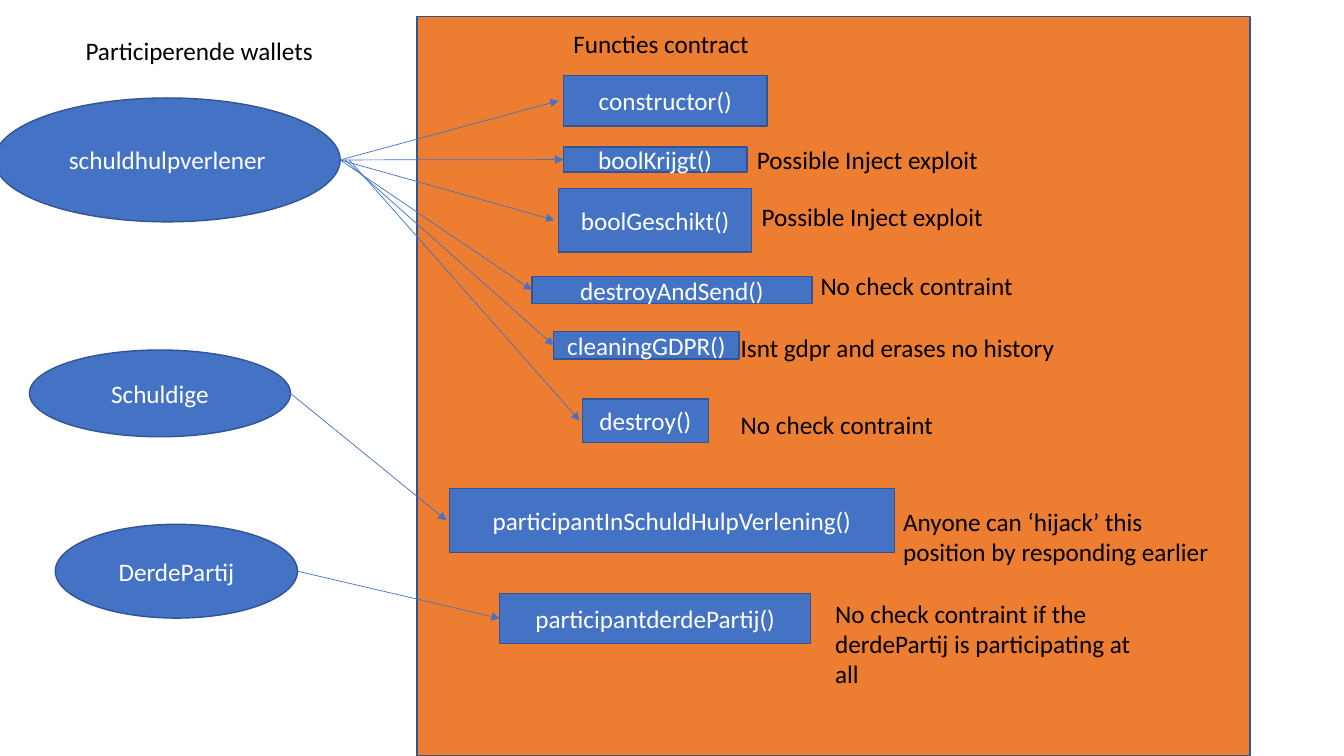
from lxml import etree
from pptx import Presentation
from pptx.dml.color import RGBColor
from pptx.enum import shapes, text as tx
from pptx.oxml import ns
from pptx.util import Pt

BLUE, NAVY, ORANGE = "4472C4", "325491", "ED7D31"
WHITE, BLACK = "FFFFFF", "000000"

deck = Presentation()
deck.slide_width, deck.slide_height = Pt(960), Pt(540)
slide = deck.slides.add_slide(deck.slide_layouts[6])


def write(holder, wording, color=BLACK, align=tx.PP_ALIGN.LEFT,
          anchor=tx.MSO_ANCHOR.TOP, wrap=True, size=18):
    """Put formatted text into a shape or text box."""
    frame = holder.text_frame
    frame.word_wrap = wrap
    frame.vertical_anchor = anchor
    paragraph = frame.paragraphs[0]
    paragraph.alignment = align
    run = paragraph.add_run()
    run.text = wording
    run.font.name, run.font.size = "Calibri", Pt(size)
    run.font.color.rgb = RGBColor.from_string(color)


def add_block(kind, box, fill, label=None):
    """Add an outlined preset shape, with a centred label if one is given."""
    block = slide.shapes.add_shape(kind, *map(Pt, box))
    block.shadow.inherit = False
    block.fill.solid()
    block.fill.fore_color.rgb = RGBColor.from_string(fill)
    block.line.color.rgb = RGBColor.from_string(NAVY)
    block.line.width = Pt(1)
    if label:
        write(block, label, color=WHITE, align=tx.PP_ALIGN.CENTER,
              anchor=tx.MSO_ANCHOR.MIDDLE)
    return block


RECT, OVAL = shapes.MSO_SHAPE.RECTANGLE, shapes.MSO_SHAPE.OVAL

# Contract panel
add_block(RECT, (298, 12, 595, 528), ORANGE)

# Participating wallets: left, top, width, height
wallet_boxes = {
    "DerdePartij": (39.5, 374.5, 173, 67),
    "Schuldige": (21, 250, 186.5, 62),
    "schuldhulpverlener": (-4, 70, 247, 88.5),
}
wallets = {name: add_block(OVAL, box, BLUE, name)
           for name, box in wallet_boxes.items()}

# Contract functions: name, box, calling wallet, arrow gap at wallet and function
functions = [
    ("constructor()", (402.5, 54, 145.5, 36), "schuldhulpverlener", 0, 3.5),
    ("boolKrijgt()", (402.5, 105, 131, 18), "schuldhulpverlener", 0, 0),
    ("boolGeschikt()", (399, 134.5, 138, 45.5), "schuldhulpverlener", 0, 3),
    ("destroyAndSend()", (380, 197.5, 200, 19.5), "schuldhulpverlener", 0, 0),
    ("cleaningGDPR()", (395.5, 237, 132.5, 19.5), "schuldhulpverlener", 3.5, 0),
    ("destroy()", (416, 285, 90, 31), "schuldhulpverlener", 6.5, 2),
    ("participantInSchuldHulpVerlening()", (321, 349, 318, 45.5), "Schuldige", 0, 2),
    ("participantderdePartij()", (357, 424, 222, 35.5), "DerdePartij", 0, 0),
]
for name, box, caller, wallet_gap, function_gap in functions:
    function = add_block(RECT, box, BLUE, name)
    wallet = wallets[caller]
    call = slide.shapes.add_connector(
        shapes.MSO_CONNECTOR.STRAIGHT,
        wallet.left + wallet.width + Pt(wallet_gap),
        wallet.top + wallet.height // 2,
        function.left - Pt(function_gap),
        function.top + function.height // 2)
    if not function_gap:
        call.end_connect(function, 1)
    call.line.color.rgb = RGBColor.from_string(BLUE)
    call.line.width = Pt(0.5)
    etree.SubElement(call.line._get_or_add_ln(), ns.qn("a:tailEnd"), type="triangle")
    etree.SubElement(call._element.spPr, ns.qn("a:effectLst"))

# Headings and remarks: wording, box, wrap
remarks = [
    ("Participerende wallets", (54, 21.5, 178.5, 51), False),
    ("Functies contract", (402.5, 17, 141, 29), False),
    ("Possible Inject exploit", (533.5, 99.5, 174, 29), False),
    ("Possible Inject exploit", (537, 140.5, 174, 29), False),
    ("No check contraint", (579, 189.5, 231, 29), True),
    ("Isnt gdpr and erases no history", (522, 234, 241, 29), False),
    ("No check contraint", (522, 289, 231, 29), True),
    ("Anyone can ‘hijack’ this position by responding earlier",
     (638, 358, 243.5, 51), True),
    ("No check contraint if the derdePartij is participating at all",
     (589.5, 423.5, 243.5, 73), True),
]
for wording, box, wrap in remarks:
    write(slide.shapes.add_textbox(*map(Pt, box)), wording, wrap=wrap)

deck.save("out.pptx")
